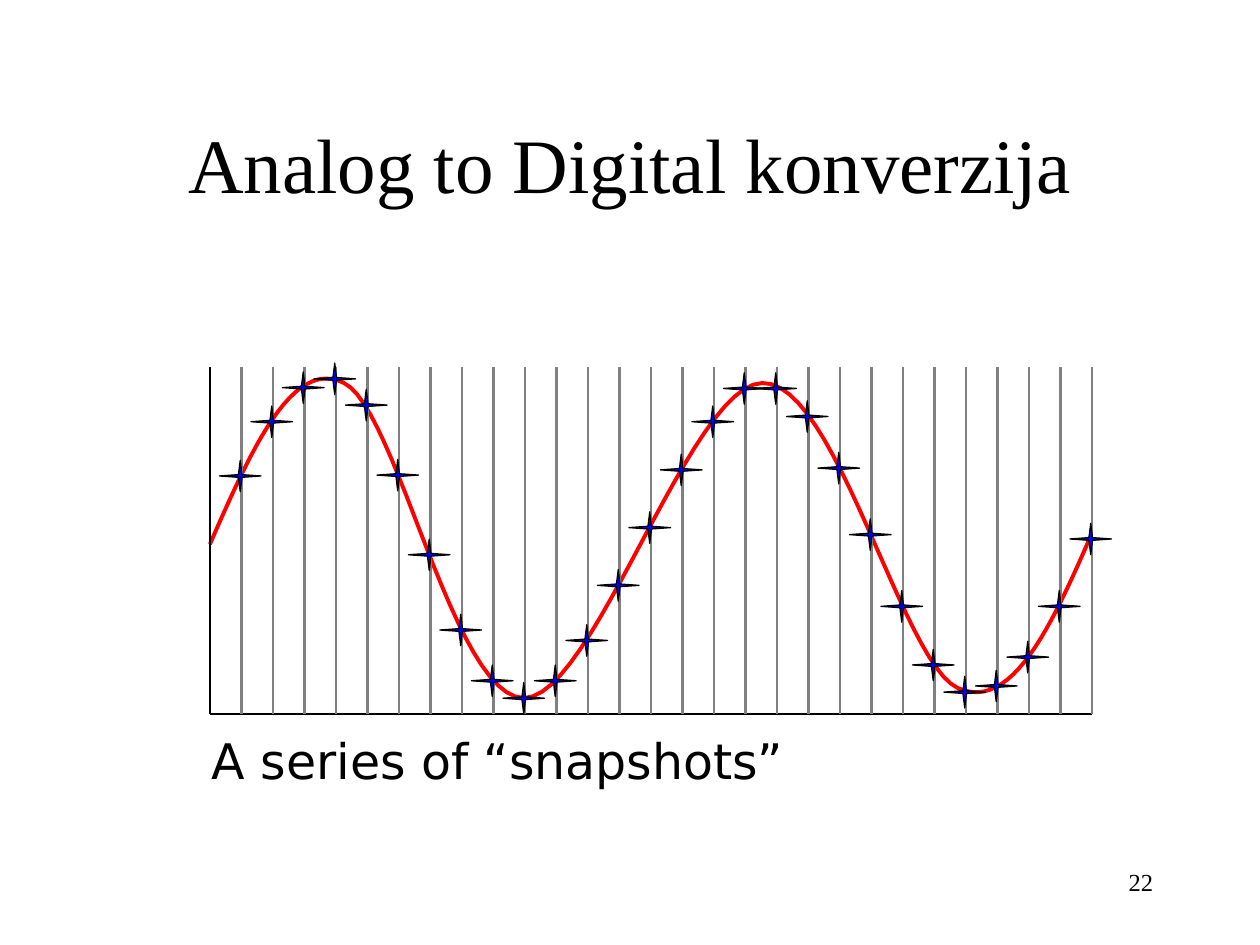
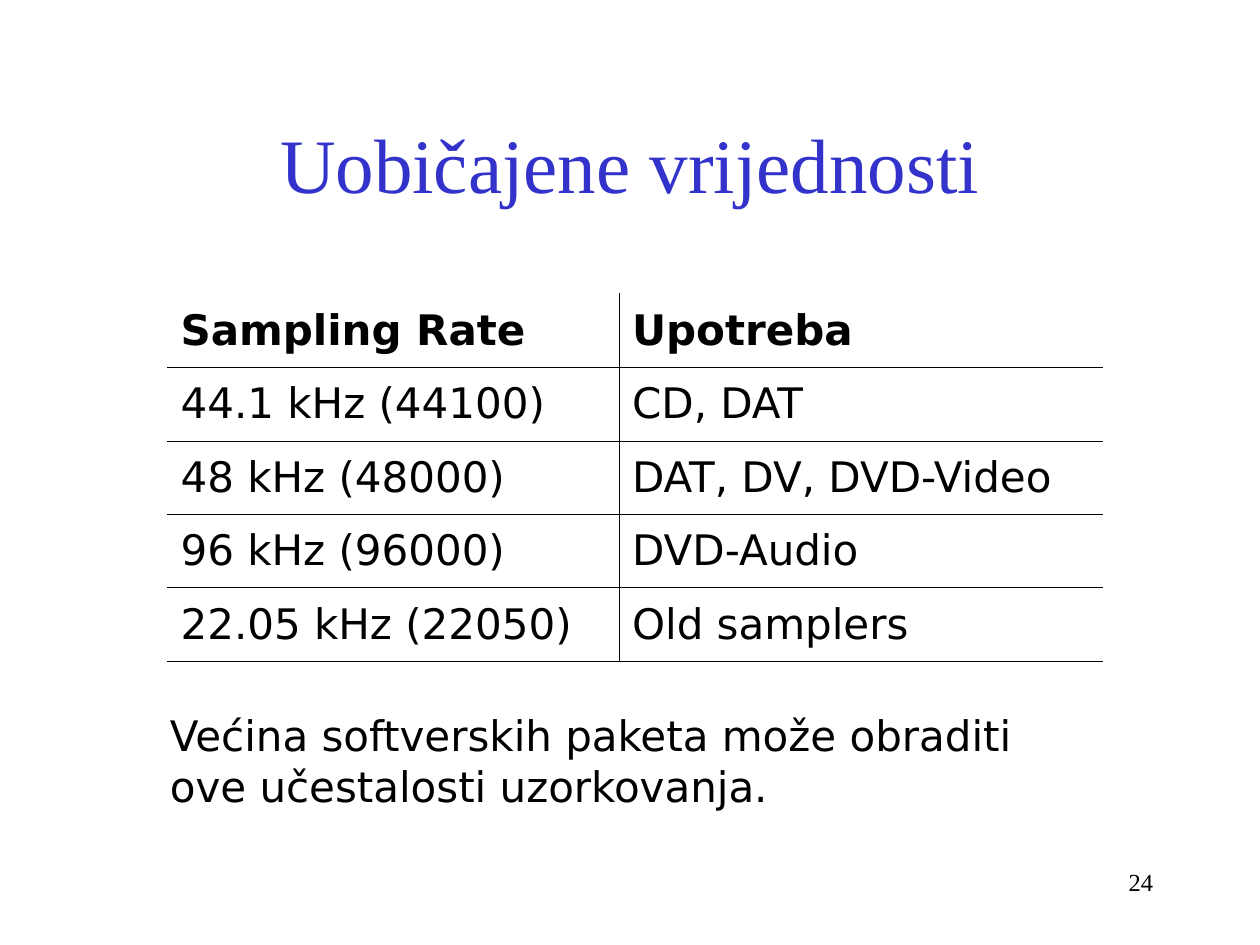
from lxml import etree
from pptx import Presentation
from pptx import util as u
from pptx.dml.color import RGBColor
from pptx.enum import shapes as sh, text as tx
from pptx.oxml.ns import qn

Pt = u.Pt
HUES = {"ink": "000000", "accent": "3333CC", "wave": "FF0000",
        "grid": "808080", "star": "0000FF"}
SERIF, SANS = "Times New Roman", "DejaVu Sans"

WAVE = {
    "title": "Analog to Digital konverzija", "hue": "ink", "page": "22",
    "note": "A series of “snapshots”", "size": 28, "box": (114, 414, 360, 41),
}
RATES = {
    "title": "Uobičajene vrijednosti", "hue": "accent", "page": "24",
    "note": "Većina softverskih paketa može obraditi ove učestalosti uzorkovanja.",
    "size": 24, "box": (90, 402, 516, 65),
}
ROWS = [
    ("Sampling Rate", "Upotreba"),
    ("44.1 kHz (44100)", "CD, DAT"),
    ("48 kHz (48000)", "DAT, DV, DVD-Video"),
    ("96 kHz (96000)", "DVD-Audio"),
    ("22.05 kHz (22050)", "Old samplers"),
]
COLS, ROW = (258, 276), 42

# Plot area: left, top, bottom, and the gap between two samples
LEFT, TOP, BASE, STEP = 120, 210, 408, 18
LEVELS = [272, 241, 221.5, 216.5, 231.5, 271.5, 317, 360, 389, 399,
          389, 366, 334.5, 301.5, 268.5, 241, 222, 222, 238, 267.5,
          305.5, 346.5, 380, 395.5, 392, 375.5, 346.5, 308]
STAR = (23.8, 18)
START = (120, 311)
BENDS = [  # two control points and an end point for each part of the wave
    ((143.3, 257.8), (167, 203.8), (196.6, 218.9)),
    ((226.8, 233.3), (259.2, 398.9), (299.5, 398.9)),
    ((339.1, 398.9), (394.6, 219.6), (435.6, 218.9)),
    ((477.4, 217.4), (515.5, 378.7), (547.2, 393.1)),
    ((578.2, 407.5), (601.2, 357.1), (623.5, 306)),
]


def tint(name):
    return RGBColor.from_string(HUES[name])


def style(par, size, face, hue="ink", bold=False):
    font = par.font
    font.size, font.name, font.bold = Pt(size), face, bold
    font.color.rgb = tint(hue)


def put_text(slide, words, box, size, face, align=tx.PP_ALIGN.LEFT):
    frame = slide.shapes.add_textbox(*map(Pt, box)).text_frame
    frame.word_wrap = True
    par = frame.paragraphs[0]
    par.text, par.alignment = words, align
    style(par, size, face)


def new_slide(deck, page):
    """Add a slide with its title, note and page number."""
    slide = deck.slides.add_slide(deck.slide_layouts[5])
    title = slide.shapes.title
    title.left, title.top, title.width, title.height = map(Pt, (54, 48, 612, 90))
    frame = title.text_frame
    frame.vertical_anchor = tx.MSO_ANCHOR.MIDDLE
    par = frame.paragraphs[0]
    par.text, par.alignment = page["title"], tx.PP_ALIGN.CENTER
    style(par, 44, SERIF, page["hue"])
    put_text(slide, page["note"], page["box"], page["size"], SANS)
    put_text(slide, page["page"], (516, 492, 150, 36), 14, SERIF,
             tx.PP_ALIGN.RIGHT)
    return slide


def set_line(shape, hue, width):
    shape.line.color.rgb, shape.line.width = tint(hue), Pt(width)


def rule(parts, ends, hue):
    line = parts.add_connector(sh.MSO_CONNECTOR.STRAIGHT, *map(Pt, ends))
    set_line(line, hue, 1.5)
    etree.SubElement(line._element.spPr, qn("a:effectLst"))


def trace(start, bends, steps=24):
    """Return points along a chain of cubic curves."""
    spots = []
    for one, two, end in bends:
        for k in range(1, steps + 1):
            t = k / steps
            s = 1 - t
            spots.append(tuple(
                Pt(s**3 * a + 3 * s * s * t * b + 3 * s * t * t * c + t**3 * d)
                for a, b, c, d in zip(start, one, two, end)))
        start = end
    return spots


def draw_wave(slide):
    plot = slide.shapes.add_group_shape().shapes
    pen = plot.build_freeform(*map(Pt, START))
    pen.add_line_segments(trace(START, BENDS), close=False)
    wave = pen.convert_to_shape()
    wave.shadow.inherit = False
    wave.fill.background()
    set_line(wave, "wave", 2.25)

    last = LEFT + STEP * len(LEVELS)
    rule(plot, (LEFT, TOP, LEFT, BASE), "ink")
    rule(plot, (LEFT, BASE, last, BASE), "ink")
    for x in range(LEFT + STEP, last + 1, STEP):
        rule(plot, (x, TOP, x, BASE), "grid")

    stars = slide.shapes.add_group_shape().shapes
    wide, high = STAR
    for i, y in enumerate(LEVELS, 1):
        x = LEFT + STEP * i - 0.7
        box = (x - wide / 2, y - high / 2, wide, high)
        star = stars.add_shape(sh.MSO_SHAPE.STAR_4_POINT, *map(Pt, box))
        star.adjustments[0] = 0.06
        star.shadow.inherit = False
        star.fill.solid()
        star.fill.fore_color.rgb = tint("star")
        set_line(star, "ink", 0.75)


def edge(cell, side, width):
    line = etree.SubElement(cell._tc.get_or_add_tcPr(), qn("a:ln" + side),
                            w=str(Pt(width)))
    fill = etree.SubElement(line, qn("a:solidFill"))
    etree.SubElement(fill, qn("a:srgbClr"), val=HUES["ink"])


def draw_table(slide):
    box = (96, 168, sum(COLS), ROW * len(ROWS))
    grid = slide.shapes.add_table(len(ROWS), len(COLS), *map(Pt, box)).table
    grid.first_row = grid.horz_banding = False
    for col, wide in zip(grid.columns, COLS):
        col.width = Pt(wide)
    for r, row in enumerate(ROWS):
        grid.rows[r].height = Pt(ROW)
        for c, words in enumerate(row):
            cell = grid.cell(r, c)
            cell.vertical_anchor = tx.MSO_ANCHOR.MIDDLE
            par = cell.text_frame.paragraphs[0]
            par.text, par.line_spacing = words, 0.98
            style(par, 24, SANS, bold=r == 0)
            edge(cell, "L" if c else "R", 0.34)
            if r:
                edge(cell, "T", 0.5)
            edge(cell, "B", 0.5)
            cell.fill.background()


def main():
    deck = Presentation()
    deck.slide_width, deck.slide_height = Pt(720), Pt(540)
    draw_wave(new_slide(deck, WAVE))
    draw_table(new_slide(deck, RATES))
    deck.save("out.pptx")


if __name__ == "__main__":
    main()
